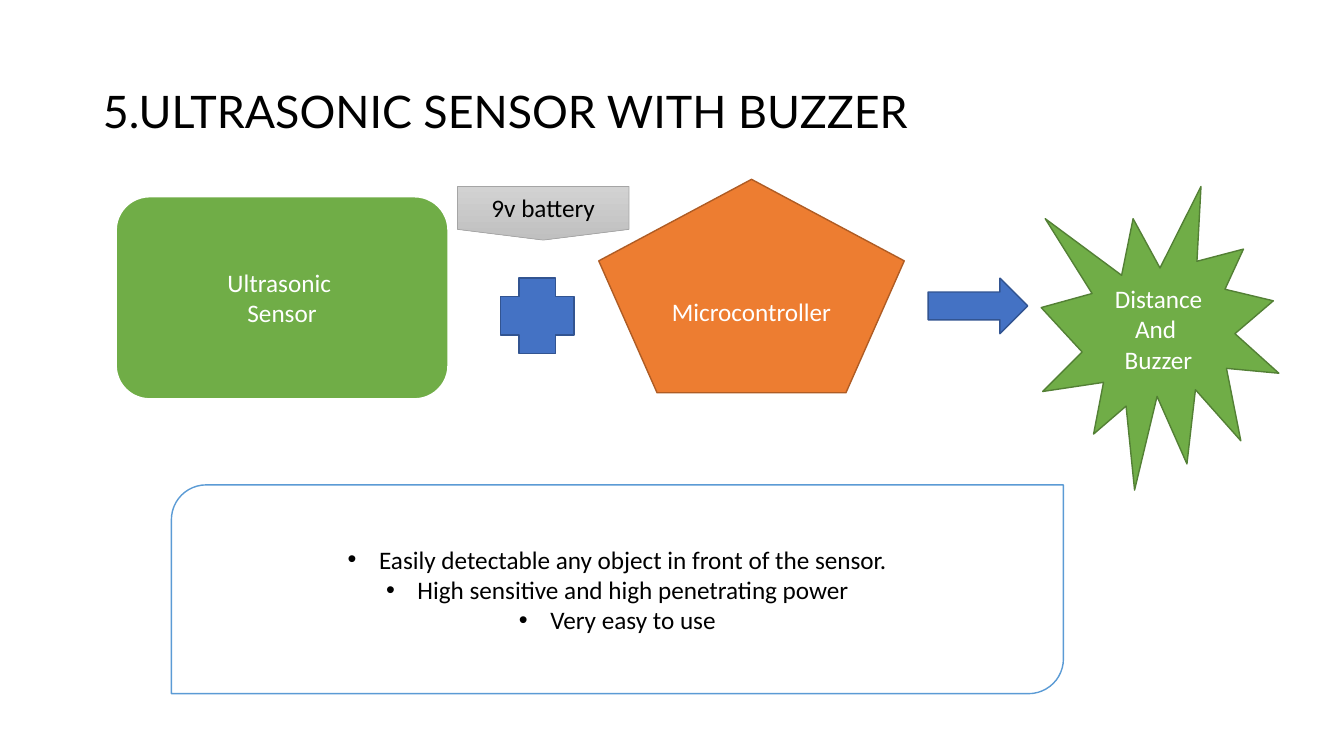
from lxml import etree
from pptx import Presentation
from pptx.dml.color import RGBColor
from pptx.enum.shapes import MSO_SHAPE
from pptx.enum.text import MSO_ANCHOR, MSO_AUTO_SIZE, PP_ALIGN
from pptx.oxml.ns import qn
from pptx.util import Cm, Pt

ROUNDED = MSO_SHAPE.ROUNDED_RECTANGLE
PLUS = MSO_SHAPE.CROSS
PENTAGON = MSO_SHAPE.REGULAR_PENTAGON
BURST = MSO_SHAPE.EXPLOSION1
ARROW = MSO_SHAPE.RIGHT_ARROW
BATTERY = MSO_SHAPE.FLOWCHART_OFFPAGE_CONNECTOR
DIAGONAL_ROUND = MSO_SHAPE.ROUND_2_DIAG_RECTANGLE
MIDDLE = MSO_ANCHOR.MIDDLE
NO_AUTOFIT = MSO_AUTO_SIZE.NONE
LEFT, CENTER = PP_ALIGN.LEFT, PP_ALIGN.CENTER

COLORS = {
    "white": "FFFFFF",
    "black": "000000",
    "green": "70AD47",
    "dark_green": "538035",
    "blue": "4472C4",
    "dark_blue": "325491",
    "light_blue": "5B9BD5",
    "orange": "ED7D31",
    "dark_orange": "AF5C24",
    "gray": "A5A5A5",
    "gray_top": "D2D2D2",
    "gray_bottom": "C0C0C0",
}
TITLE_FONT = {"name": "Lato", "size": Pt(32)}
LABEL_FONT = {"name": "Calibri", "size": Pt(18)}
BULLET_INDENT = Cm(0.79)


def color(name):
    return RGBColor.from_string(COLORS[name])


def apply_format(target, values):
    for attribute, value in values.items():
        setattr(target, attribute, value)


def write_lines(frame, lines, ink, font_format, paragraph_format):
    frame.text = "\n".join(lines)
    for paragraph in frame.paragraphs:
        apply_format(paragraph, paragraph_format)
        for run in paragraph.runs:
            apply_format(run.font, font_format)
            run.font.color.rgb = color(ink)


def add_title(slide, text):
    title = slide.shapes.title
    apply_format(title, {"left": Cm(2.34), "top": Cm(1.02),
                         "width": Cm(29.21), "height": Cm(3.68)})
    apply_format(title.text_frame, {"vertical_anchor": MIDDLE, "word_wrap": True,
                                    "auto_size": NO_AUTOFIT})
    write_lines(title.text_frame, [text], "black", TITLE_FONT,
                {"alignment": LEFT, "line_spacing": 0.9})


def add_block(slide, preset, box, fill, outline, weight=1, lines=(), ink="white"):
    block = slide.shapes.add_shape(preset, *map(Cm, box))
    block.shadow.inherit = False
    block.fill.solid()
    block.fill.fore_color.rgb = color(fill)
    block.line.color.rgb = color(outline)
    block.line.width = Pt(weight)
    if lines:
        apply_format(block.text_frame, {"vertical_anchor": MIDDLE, "word_wrap": True})
        write_lines(block.text_frame, lines, ink, LABEL_FONT, {"alignment": CENTER})
    return block


def shade_downwards(block, top, bottom):
    block.fill.gradient()
    block.fill.gradient_angle = 270
    for stop, name in zip(block.fill.gradient_stops, (top, bottom)):
        stop.color.rgb = color(name)


def add_bullets(block):
    for paragraph in block.text_frame.paragraphs:
        properties = paragraph._p.get_or_add_pPr()
        properties.set("marL", str(BULLET_INDENT))
        properties.set("indent", str(-BULLET_INDENT))
        etree.SubElement(properties, qn("a:buFont")).set("typeface", "Arial")
        etree.SubElement(properties, qn("a:buChar")).set("char", "•")


def main():
    deck = Presentation()
    deck.slide_width, deck.slide_height = Cm(33.87), Cm(19.05)
    slide = deck.slides.add_slide(deck.slide_layouts[5])

    add_title(slide, "5.ULTRASONIC SENSOR WITH BUZZER")
    add_block(slide, ROUNDED, (2.92, 4.95, 8.38, 5.11), "green", "white", 1.5,
              ["Ultrasonic ", "Sensor"])
    add_block(slide, PLUS, (12.62, 7.01, 1.85, 1.9), "blue", "dark_blue")
    add_block(slide, PENTAGON, (15.09, 4.52, 7.7, 5.38), "orange", "dark_orange",
              lines=["Microcontroller"])
    add_block(slide, BURST, (26.24, 4.7, 5.99, 7.65), "green", "dark_green",
              lines=["Distance", "And ", "Buzzer"])
    add_block(slide, ARROW, (23.39, 7.01, 2.51, 1.4), "blue", "dark_blue")
    battery = add_block(slide, BATTERY, (11.53, 4.7, 4.32, 1.35), "gray_top", "gray",
                        0.5, ["9v battery"], "black")
    shade_downwards(battery, "gray_top", "gray_bottom")
    benefits = add_block(slide, DIAGONAL_ROUND, (4.32, 12.22, 22.48, 5.26), "white",
                         "light_blue", lines=[
                             "Easily detectable any object in front of the sensor.",
                             "High sensitive and high penetrating power",
                             "Very easy to use",
                         ], ink="black")
    add_bullets(benefits)
    deck.save("out.pptx")


if __name__ == "__main__":
    main()
